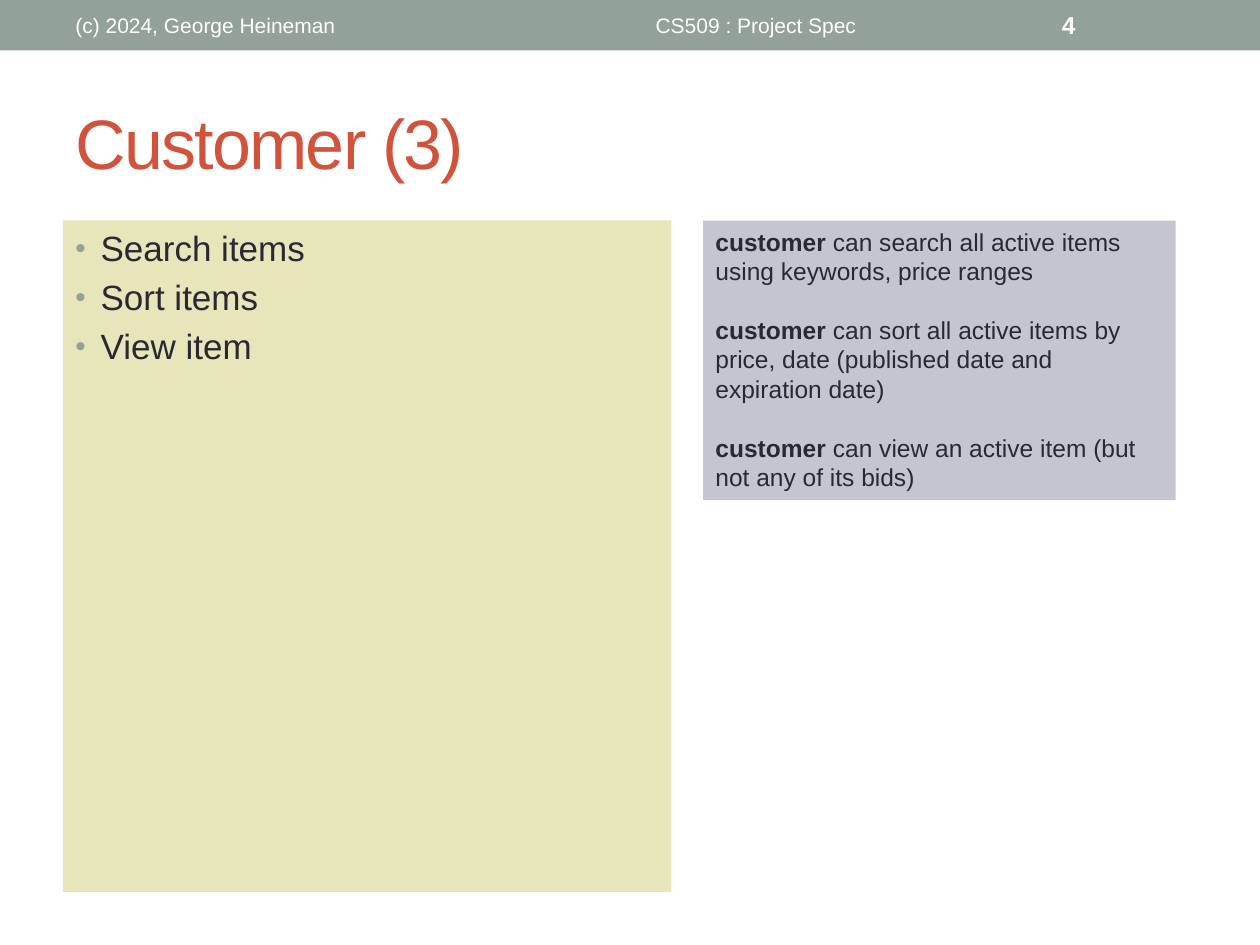
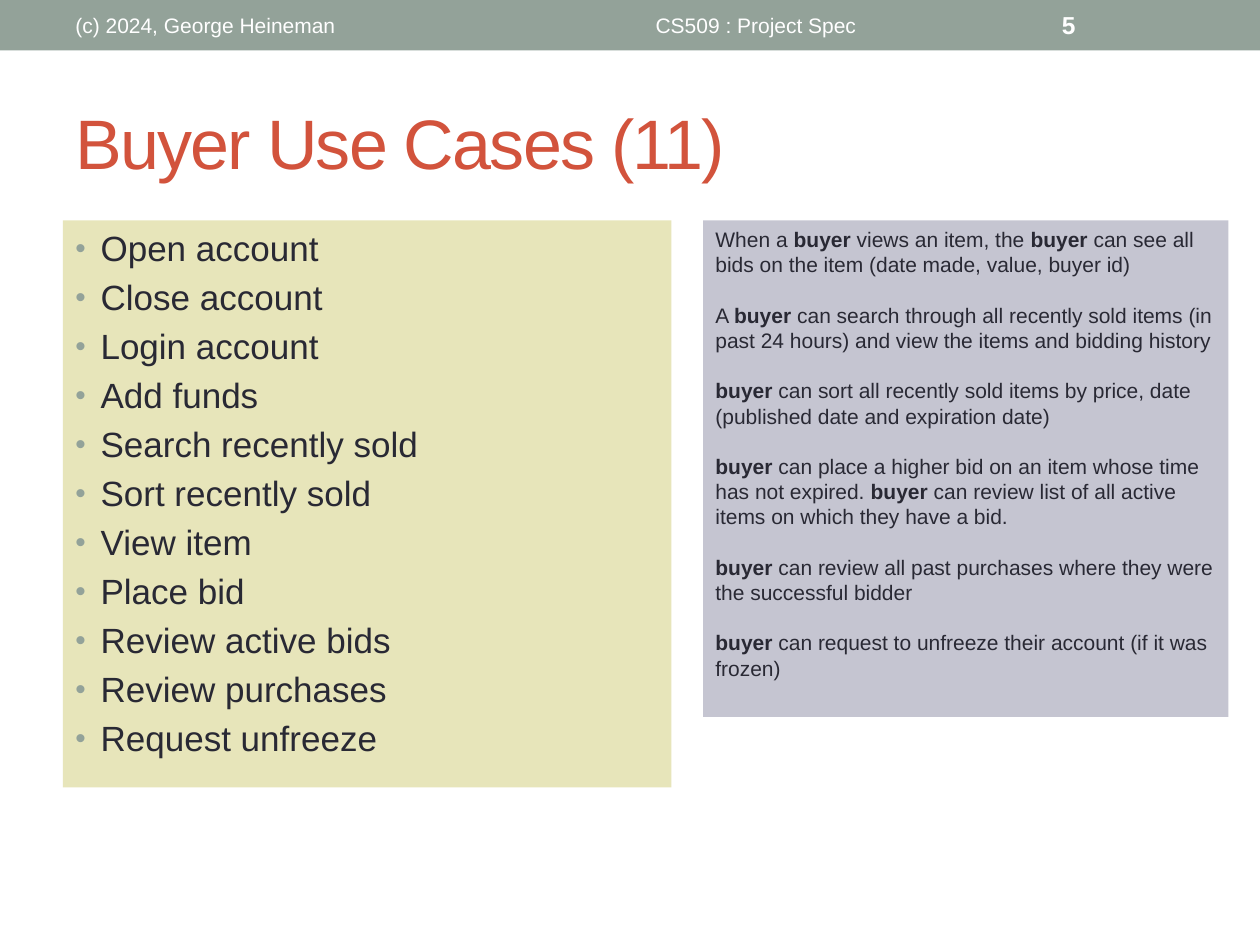
import dataclasses

import pptx
import pptx.dml.color
import pptx.enum.shapes
import pptx.enum.text
import pptx.oxml
import pptx.oxml.ns
import pptx.util

PX = 9144
ALIGN = pptx.enum.text.PP_ALIGN
ANCHOR = pptx.enum.text.MSO_ANCHOR


@dataclasses.dataclass(frozen=True)
class Theme:
    """Colours, font and type sizes shared by the slides."""
    font: str = "Arial"
    band: str = "93A299"
    title: str = "D2533C"
    ink: str = "292934"
    light: str = "FFFFFF"
    cases: str = "E7E5BA"
    notes: str = "C5C5D1"
    head: int = 40
    body: int = 20
    foot: int = 12
    page: int = 14
    leading: float = 1.2


THEME = Theme()


def rgb(code):
    """Return a colour from its hex code."""
    return pptx.dml.color.RGBColor.from_string(code)


def panel(slide, box, fill):
    """Draw a plain filled rectangle and return it."""
    rect = pptx.enum.shapes.MSO_SHAPE.RECTANGLE
    shape = slide.shapes.add_shape(rect, *[n * PX for n in box])
    shape.shadow.inherit = False
    shape.fill.solid()
    shape.fill.fore_color.rgb = rgb(fill)
    shape.line.fill.background()
    return shape


def write(shape, lines, size, color, gap=0, anchor=ANCHOR.TOP, align=ALIGN.LEFT):
    """Fill a shape with paragraphs, where *stars* mark bold words."""
    frame = shape.text_frame
    frame.word_wrap = True
    frame.auto_size = pptx.enum.text.MSO_AUTO_SIZE.NONE
    frame.vertical_anchor = anchor
    frame.text = "\n".join(lines)
    for i, para in enumerate(frame.paragraphs):
        parts = para.text.split("*")
        para.text = ""
        para.alignment = align
        para.space_before = pptx.util.Pt(gap if i else 0)
        for j, part in enumerate(parts):
            if part:
                run = para.add_run()
                run.text = part
                run.font.name = THEME.font
                run.font.size = pptx.util.Pt(size)
                run.font.color.rgb = rgb(color)
                run.font.bold = j % 2 == 1
    return frame


def label(slide, box, text, size, color, align=ALIGN.LEFT):
    """Add a text box with one centred line and return its frame."""
    shape = slide.shapes.add_textbox(*[n * PX for n in box])
    return write(shape, [text], size, color, anchor=ANCHOR.MIDDLE, align=align)


def bullet(para):
    """Give a paragraph a hanging round bullet in the band colour."""
    props = para._p.get_or_add_pPr()
    props.set("marL", str(20 * PX))
    props.set("indent", str(-20 * PX))
    space = pptx.oxml.ns.nsdecls("a")
    for mark in (f'<a:buClr {space}><a:srgbClr val="{THEME.band}"/></a:buClr>',
                 f'<a:buSzPct {space} val="85000"/>',
                 f'<a:buFont {space} typeface="{THEME.font}"/>',
                 f'<a:buChar {space} char="•"/>'):
        props.append(pptx.oxml.parse_xml(mark))


def header(slide, box, page):
    """Draw the top band with its credit, course and page number."""
    x, y, w, h = box
    panel(slide, box, THEME.band)
    top, tall = y + 2, h - 4
    label(slide, (x + 50, top, 317, tall), "(c) 2024, George Heineman",
          THEME.foot, THEME.light)
    label(slide, (x + 375, top, 450, tall), "CS509 : Project Spec",
          THEME.foot, THEME.light, ALIGN.CENTER)
    label(slide, (x + 833, top, 117, tall), f"*{page}*", THEME.page, THEME.light)


def title(slide, box, text):
    """Write the slide title with tight letter spacing."""
    frame = label(slide, box, text, THEME.head, THEME.title)
    frame.paragraphs[0].runs[0].font._element.set("spc", "-100")


def cases(slide, box, items):
    """Draw the panel that lists the use cases."""
    frame = write(panel(slide, box, THEME.cases), items, THEME.body, THEME.ink,
                  gap=THEME.body * 0.2)
    for para in frame.paragraphs:
        bullet(para)


def notes(slide, box, lines, size):
    """Draw the panel of notes, one blank line's height apart."""
    write(panel(slide, box, THEME.notes), lines, size, THEME.ink,
          gap=size * THEME.leading)


def role(deck, page, name, items, tall, lines, size, area):
    """Build one slide of use cases and notes for a role."""
    slide = deck.slides.add_slide(deck.slide_layouts[6])
    title(slide, (50, 58, 900, 108), name)
    cases(slide, (50, 175, 483, tall), items)
    header(slide, (0, 0, 1000, 40), page)
    notes(slide, (558, 175, *area), lines, size)


def main():
    """Build and save the deck."""
    deck = pptx.Presentation()
    deck.slide_width, deck.slide_height = 1000 * PX, 750 * PX
    role(deck, 4, "Customer (3)", ["Search items", "Sort items", "View item"], 533, [
        "*customer* can search all active items using keywords, price ranges",
        "*customer* can sort all active items by price, date "
        "(published date and expiration date)",
        "*customer* can view an active item (but not any of its bids)",
    ], 14, (375, 222))
    role(deck, 5, "Buyer Use Cases (11)", [
        "Open account", "Close account", "Login account", "Add funds",
        "Search recently sold", "Sort recently sold", "View item", "Place bid",
        "Review active bids", "Review purchases", "Request unfreeze",
    ], 450, [
        "When a *buyer* views an item, the *buyer* can see all bids on the item "
        "(date made, value, buyer id)",
        "A *buyer* can search through all recently sold items (in past 24 hours) "
        "and view the items and bidding history",
        "*buyer* can sort all recently sold items by price, date "
        "(published date and expiration date)",
        "*buyer* can place a higher bid on an item whose time has not expired. "
        "*buyer* can review list of all active items on which they have a bid.",
        "*buyer* can review all past purchases where they were the successful bidder",
        "*buyer* can request to unfreeze their account (if it was frozen)",
    ], 12, (417, 394))
    deck.save("out.pptx")


if __name__ == "__main__":
    main()
